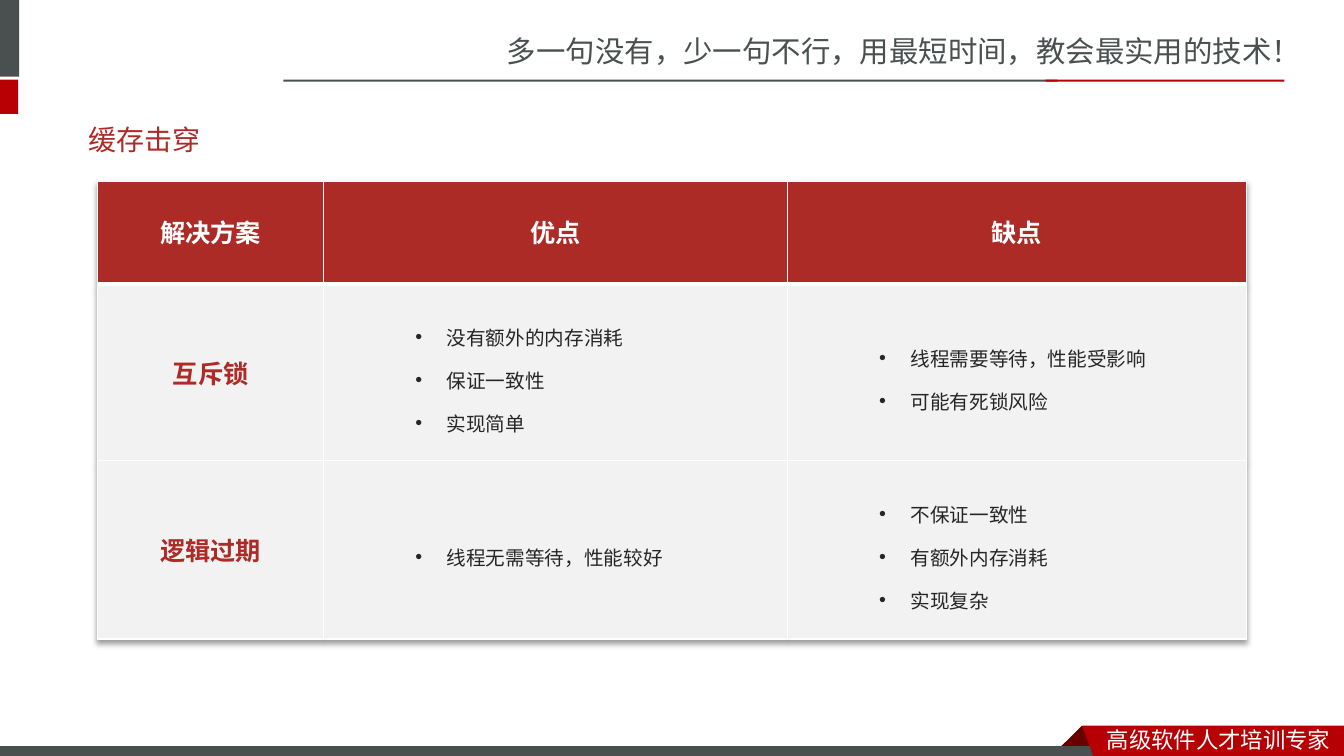
from lxml import etree
from pptx import Presentation
from pptx.dml.color import RGBColor
from pptx.enum.shapes import MSO_SHAPE
from pptx.enum.text import MSO_ANCHOR, PP_ALIGN
from pptx.oxml import parse_xml
from pptx.oxml.ns import nsdecls, qn
from pptx.util import Inches, Pt

WHITE = RGBColor(0xFF, 0xFF, 0xFF)
GREY = RGBColor(0x49, 0x50, 0x4F)
RED = RGBColor(0xB6, 0x00, 0x04)
DARK_RED = RGBColor(0x68, 0x00, 0x00)
TITLE_RED = RGBColor(0xAD, 0x2A, 0x26)
HEADER_RED = RGBColor(0xAD, 0x2B, 0x26)
CELL_GREY = RGBColor(0xF2, 0xF2, 0xF2)
BODY = RGBColor(0x26, 0x26, 0x26)
CJK_FONT = "Noto Sans CJK SC"

HEADERS = ["解决方案", "优点", "缺点"]
SOLUTIONS = [
    ("互斥锁",
     ["没有额外的内存消耗", "保证一致性", "实现简单"],
     ["线程需要等待，性能受影响", "可能有死锁风险"]),
    ("逻辑过期",
     ["线程无需等待，性能较好"],
     ["不保证一致性", "有额外内存消耗", "实现复杂"]),
]
COLUMN_WIDTHS = [2.24, 4.6, 4.55]
ROW_HEIGHTS = [1.02, 1.75, 1.77]


def set_font(p, size, color, name=CJK_FONT, bold=False):
    font = p.font
    font.size, font.bold, font.name = Pt(size), bold, name
    font.color.rgb = color
    ea = etree.SubElement(p._p.pPr.find(qn("a:defRPr")), qn("a:ea"))
    ea.set("typeface", CJK_FONT)


def paint(s, fill, line=None):
    s.shadow.inherit = False
    s.fill.solid()
    s.fill.fore_color.rgb = fill
    if line is None:
        s.line.fill.background()
    else:
        s.line.color.rgb = line
        s.line.width = Pt(0.75)


def add_bar(slide, box, fill, line=None):
    s = slide.shapes.add_shape(MSO_SHAPE.RECTANGLE, *map(Inches, box))
    paint(s, fill, line)


def add_polygon(slide, points, fill):
    points = [(Inches(x), Inches(y)) for x, y in points]
    builder = slide.shapes.build_freeform(*points[0], scale=1.0)
    builder.add_line_segments(points[1:], close=True)
    paint(builder.convert_to_shape(), fill)


def add_label(slide, box, text, size, color):
    tf = slide.shapes.add_textbox(*map(Inches, box)).text_frame
    tf.word_wrap = True
    p = tf.paragraphs[0]
    p.text = text
    set_font(p, size, color)


def set_title(slide, text):
    title = slide.shapes.title
    title.left, title.top = Inches(0.78), Inches(1.16)
    title.width, title.height = Inches(11.7), Inches(0.44)
    tf = title.text_frame
    tf.vertical_anchor = MSO_ANCHOR.MIDDLE
    p = tf.paragraphs[0]
    p.text = text
    p.alignment = PP_ALIGN.LEFT
    set_font(p, 20, TITLE_RED, "Lato")


def format_cell(cell, fill, top=1, bottom=1):
    """Give the cell white borders (points), a fill and middle anchoring."""
    tc_pr = cell._tc.get_or_add_tcPr()
    for side, width in zip("LRTB", (1, 1, top, bottom)):
        tc_pr.append(parse_xml(
            f'<a:ln{side} {nsdecls("a")} w="{Pt(width)}"><a:solidFill>'
            f'<a:srgbClr val="{WHITE}"/></a:solidFill></a:ln{side}>'))
    cell.fill.solid()
    cell.fill.fore_color.rgb = fill
    cell.vertical_anchor = MSO_ANCHOR.MIDDLE


def fill_heading(cell, text, color, line_spacing=None):
    p = cell.text_frame.paragraphs[0]
    p.text = text
    p.alignment = PP_ALIGN.CENTER
    p.line_spacing = line_spacing
    set_font(p, 18, color, "Calibri", bold=True)


def fill_bullets(cell, items):
    tf = cell.text_frame
    tf.text = "\n".join(items)
    for p in tf.paragraphs:
        p.level = 1
        p.line_spacing = 1.5
        p_pr = p._p.get_or_add_pPr()
        p_pr.set("marL", str(Inches(1.12)))
        p_pr.set("indent", str(Inches(-0.31)))
        etree.SubElement(p_pr, qn("a:buFont")).set("typeface", "Arial")
        etree.SubElement(p_pr, qn("a:buChar")).set("char", "•")
        set_font(p, 14, BODY, "Calibri")


def add_table_shadow(table):
    table._tbl.tblPr.insert(0, parse_xml(
        f'<a:effectLst {nsdecls("a")}><a:outerShdw blurRad="50800" dist="38100" '
        'dir="5400000" algn="t" rotWithShape="0"><a:srgbClr val="000000">'
        '<a:alpha val="40000"/></a:srgbClr></a:outerShdw></a:effectLst>'))


def add_comparison(slide):
    frame = slide.shapes.add_table(
        len(ROW_HEIGHTS), len(COLUMN_WIDTHS),
        Inches(0.97), Inches(1.8), Inches(11.39), Inches(4.54))
    table = frame.table
    add_table_shadow(table)
    for column, width in zip(table.columns, COLUMN_WIDTHS):
        column.width = Inches(width)
    for row, height in zip(table.rows, ROW_HEIGHTS):
        row.height = Inches(height)
    for c, header in enumerate(HEADERS):
        cell = table.cell(0, c)
        format_cell(cell, HEADER_RED, bottom=3)
        fill_heading(cell, header, WHITE, Pt(24))
    for r, (name, *points) in enumerate(SOLUTIONS, start=1):
        for c in range(len(HEADERS)):
            format_cell(table.cell(r, c), CELL_GREY, top=3 if r == 1 else 1)
        fill_heading(table.cell(r, 0), name, TITLE_RED)
        for c, items in enumerate(points, start=1):
            fill_bullets(table.cell(r, c), items)


def add_header(slide):
    add_label(slide, (4.93, 0.28, 8.41, 0.47),
              "多一句没有，少一句不行，用最短时间，教会最实用的技术！", 21, GREY)
    add_bar(slide, (-0.06, 0, 0.25, 0.76), GREY)
    add_bar(slide, (-0.06, 0.79, 0.24, 0.34), RED)
    add_bar(slide, (2.81, 0.79, 7.68, 0.02), GREY)
    add_bar(slide, (10.37, 0.79, 2.37, 0.02), RED)


def add_footer(slide):
    add_bar(slide, (-0.01, 7.45, 13.3, 0.08), WHITE, WHITE)
    add_polygon(slide, [(10.73, 7.2), (10.95, 7.42), (10.94, 7.43),
                        (10.52, 7.43), (10.51, 7.42)], DARK_RED)
    add_bar(slide, (-0.01, 7.41, 10.96, 0.09), GREY, GREY)
    add_polygon(slide, [(10.73, 7.2), (13.33, 7.2), (13.33, 7.54),
                        (10.86, 7.54)], RED)
    add_label(slide, (10.88, 7.15, 2.45, 0.37), "高级软件人才培训专家", 16, WHITE)


def main():
    prs = Presentation()
    prs.slide_width, prs.slide_height = Inches(13.33), Inches(7.5)
    slide = prs.slides.add_slide(prs.slide_layouts[5])
    add_header(slide)
    add_footer(slide)
    set_title(slide, "缓存击穿")
    add_comparison(slide)
    prs.save("out.pptx")


if __name__ == "__main__":
    main()
